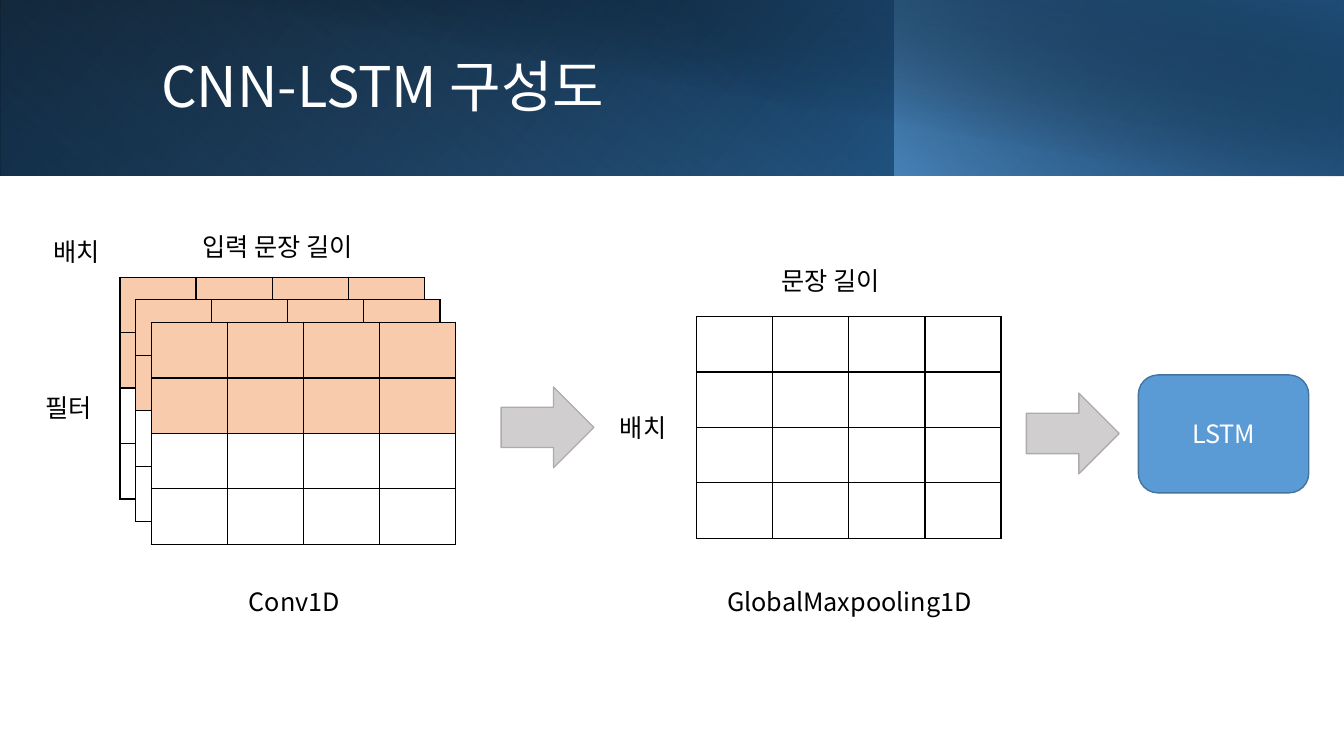
from dataclasses import dataclass

from lxml import etree
from pptx import Presentation
from pptx.dml.color import RGBColor
from pptx.enum.shapes import MSO_SHAPE
from pptx.enum.text import MSO_ANCHOR, PP_ALIGN
from pptx.oxml import parse_xml
from pptx.oxml.ns import nsdecls, qn
from pptx.shapes.autoshape import Shape
from pptx.slide import Slide
from pptx.text.text import TextFrame
from pptx.util import Inches, Pt

RECT = MSO_SHAPE.RECTANGLE
ARROW = MSO_SHAPE.RIGHT_ARROW
ROUND = MSO_SHAPE.ROUNDED_RECTANGLE
MIDDLE = MSO_ANCHOR.MIDDLE
LEFT, CENTER = PP_ALIGN.LEFT, PP_ALIGN.CENTER
FONT = "Noto Sans CJK KR"
BLACK, WHITE, PEACH = "000000", "FFFFFF", "F8CBAD"
SIZE = 4
GRID_W, GRID_H = 3.02, 2.2


@dataclass
class Stop:
    pos: int
    color: str
    alpha: int = 100


@dataclass
class Band:
    left: float
    width: float
    height: float
    angle: int
    stops: list[Stop]
    flip: bool = True
    turn: int = 0


@dataclass
class Grid:
    left: float
    top: float
    shaded: int


@dataclass
class Label:
    text: str
    left: float
    top: float
    width: float
    align: PP_ALIGN = LEFT


@dataclass
class Block:
    kind: MSO_SHAPE
    left: float
    top: float
    width: float
    height: float
    fill: str
    line: str
    text: str = ""


BANDS = [
    Band(0, 13.33, 1.74, 140, [Stop(0, BLACK), Stop(100, "2E75B6")]),
    Band(0, 8.88, 1.74, 230,
         [Stop(20, "5B9BD5", 0), Stop(100, "1F4E79", 55)], turn=180),
    Band(8.87, 4.46, 1.74, 220,
         [Stop(0, "5B9BD5", 66), Stop(100, BLACK, 30)]),
    Band(0.5, 12.83, 1.75, 280,
         [Stop(50, BLACK, 0), Stop(99, "1F4E79", 52)], flip=False),
]
GRIDS = [Grid(1.19 + 0.155 * i, 2.75 + 0.225 * i, 2) for i in range(3)]
GRIDS.append(Grid(6.91, 3.14, 0))
LABELS = [
    Label("입력 문장 길이", 1.91, 2.25, 2.02),
    Label("필터", 0.35, 3.84, 1.53),
    Label("배치", 0.43, 2.3, 1.53),
    Label("문장 길이", 7.65, 2.58, 1.53),
    Label("배치", 6.05, 4.04, 1.53),
    Label("Conv1D", 1.68, 5.77, 2.48, CENTER),
    Label("GlobalMaxpooling1D", 7.05, 5.77, 2.75, CENTER),
]
BLOCKS = [
    Block(ARROW, 4.97, 3.84, 0.92, 0.8, "D0CECE", "AFABAB"),
    Block(ARROW, 10.18, 3.9, 0.92, 0.8, "D0CECE", "AFABAB"),
    Block(ROUND, 11.29, 3.72, 1.69, 1.17, "5B9BD5", "43739E", "LSTM"),
]


def rgb(code: str) -> RGBColor:
    return RGBColor.from_string(code)


def write(frame: TextFrame, text: str, size: int, color: str,
          align: PP_ALIGN) -> None:
    frame.text = text
    frame.word_wrap = True
    para = frame.paragraphs[0]
    para.alignment = align
    for run in para.runs:
        run.font.size = Pt(size)
        run.font.name = FONT
        run.font.color.rgb = rgb(color)
        props = run.font._element
        etree.SubElement(props, qn("a:ea")).set("typeface", FONT)


def add_form(slide: Slide, kind: MSO_SHAPE, left: float, top: float,
             width: float, height: float) -> Shape:
    shape = slide.shapes.add_shape(kind, Inches(left), Inches(top),
                                   Inches(width), Inches(height))
    shape.shadow.inherit = False
    return shape


def add_band(slide: Slide, band: Band) -> None:
    shape = add_form(slide, RECT, band.left, 0, band.width, band.height)
    shape.line.fill.background()
    shape.fill.background()
    shape.rotation = band.turn
    props = shape.element.spPr
    if band.flip:
        props.find(qn("a:xfrm")).set("flipH", "1")
    stops = "".join(
        f'<a:gs pos="{stop.pos * 1000}"><a:srgbClr val="{stop.color}">'
        f'<a:alpha val="{stop.alpha * 1000}"/></a:srgbClr></a:gs>'
        for stop in band.stops)
    fill = parse_xml(
        f'<a:gradFill {nsdecls("a")} rotWithShape="1"><a:gsLst>{stops}'
        f'</a:gsLst><a:lin ang="{band.angle * 60000}" scaled="0"/></a:gradFill>')
    props.replace(props.find(qn("a:noFill")), fill)


def add_grid(slide: Slide, grid: Grid) -> None:
    table = slide.shapes.add_table(
        SIZE, SIZE, Inches(grid.left), Inches(grid.top),
        Inches(GRID_W), Inches(GRID_H)).table
    for row in range(SIZE):
        for col in range(SIZE):
            cell = table.cell(row, col)
            props = cell._tc.get_or_add_tcPr()
            for side in ("lnL", "lnR", "lnT", "lnB"):
                props.append(parse_xml(
                    f'<a:{side} {nsdecls("a")} w="12700"><a:solidFill>'
                    f'<a:srgbClr val="{BLACK}"/></a:solidFill></a:{side}>'))
            cell.fill.solid()
            cell.fill.fore_color.rgb = rgb(PEACH if row < grid.shaded else WHITE)


def add_label(slide: Slide, label: Label) -> None:
    box = slide.shapes.add_textbox(Inches(label.left), Inches(label.top),
                                   Inches(label.width), Inches(0.4))
    write(box.text_frame, label.text, 18, BLACK, label.align)


def add_block(slide: Slide, block: Block) -> None:
    shape = add_form(slide, block.kind, block.left, block.top,
                     block.width, block.height)
    shape.fill.solid()
    shape.fill.fore_color.rgb = rgb(block.fill)
    shape.line.color.rgb = rgb(block.line)
    shape.line.width = Pt(1)
    if block.text:
        shape.text_frame.vertical_anchor = MIDDLE
        write(shape.text_frame, block.text, 18, WHITE, CENTER)


def set_title(slide: Slide) -> None:
    title = slide.shapes.title
    title.left, title.top = Inches(1.5), Inches(0.32)
    title.width, title.height = Inches(10.82), Inches(1.13)
    write(title.text_frame, "CNN-LSTM 구성도", 40, WHITE, LEFT)
    title.text_frame.vertical_anchor = MIDDLE
    title.text_frame.paragraphs[0].line_spacing = 0.9
    title.element.getparent().append(title.element)


def main() -> None:
    deck = Presentation()
    deck.slide_width, deck.slide_height = Inches(13.33), Inches(7.5)
    slide = deck.slides.add_slide(deck.slide_layouts[5])
    for band in BANDS:
        add_band(slide, band)
    set_title(slide)
    for grid in GRIDS:
        add_grid(slide, grid)
    for label in LABELS:
        add_label(slide, label)
    for block in BLOCKS:
        add_block(slide, block)
    deck.save("out.pptx")


if __name__ == "__main__":
    main()
